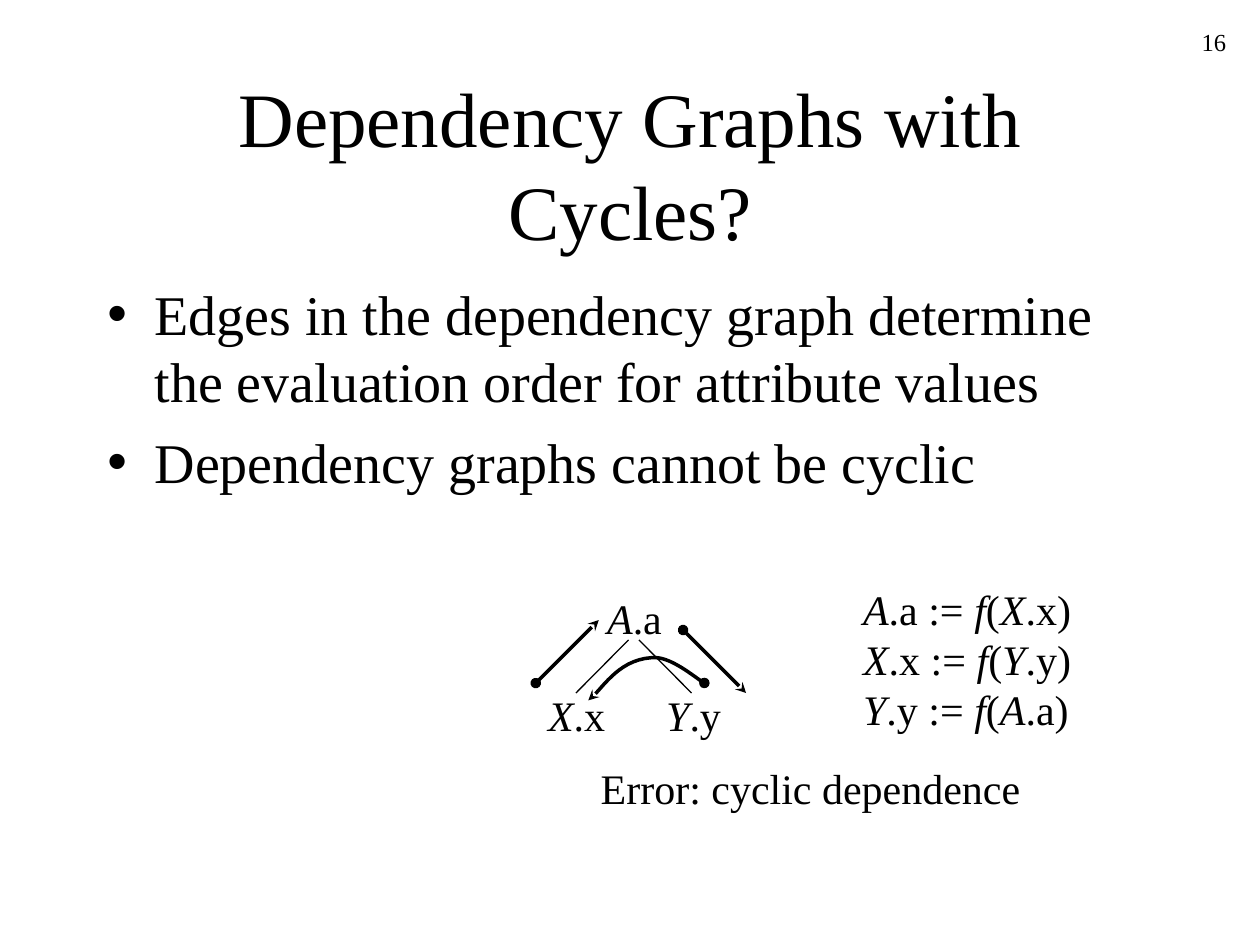
from dataclasses import dataclass

from lxml import etree
from pptx import Presentation
from pptx.dml.color import RGBColor
from pptx.enum.shapes import MSO_CONNECTOR
from pptx.enum.text import MSO_ANCHOR, MSO_AUTO_SIZE, PP_ALIGN
from pptx.oxml.ns import qn
from pptx.util import Cm, Pt

LEFT, CENTER, RIGHT = PP_ALIGN.LEFT, PP_ALIGN.CENTER, PP_ALIGN.RIGHT
TOP, MIDDLE = MSO_ANCHOR.TOP, MSO_ANCHOR.MIDDLE
STRAIGHT = MSO_CONNECTOR.STRAIGHT
NO_AUTOFIT = MSO_AUTO_SIZE.NONE


@dataclass(frozen=True)
class Theme:
    font: str = "Times New Roman"
    ink: RGBColor = RGBColor(0, 0, 0)
    title: int = 44
    body: int = 32
    label: int = 24
    number: int = 14
    thin: float = 0.75
    thick: float = 2


def write(frame, text, *, theme, size, align=LEFT, anchor=TOP, wrap=True, before=0):
    frame.auto_size = NO_AUTOFIT
    frame.word_wrap = wrap
    frame.vertical_anchor = anchor
    for index, line in enumerate(text.split("\n")):
        para = frame.add_paragraph() if index else frame.paragraphs[0]
        para.alignment = align
        para.space_before = Pt(before)
        for position, part in enumerate(line.split("*")):
            if part:
                span = para.add_run()
                span.text = part
                span.font.name = theme.font
                span.font.size = Pt(size)
                span.font.color.rgb = theme.ink
                span.font.italic = position % 2 == 1


def bezier(start, first, second, end, steps=16):
    for step in range(1, steps + 1):
        t = step / steps
        u = 1 - t
        yield tuple(u**3 * a + 3 * u * u * t * b + 3 * u * t * t * c + t**3 * d
                    for a, b, c, d in zip(start, first, second, end))


class Painter:
    def __init__(self, slide, theme):
        self.slide = slide
        self.theme = theme

    def placeholder(self, index, area, text, **format):
        box = self.slide.placeholders[index]
        box.left, box.top, box.width, box.height = map(Cm, area)
        write(box.text_frame, text, theme=self.theme, **format)

    def text(self, area, text, **format):
        box = self.slide.shapes.add_textbox(*map(Cm, area))
        write(box.text_frame, text, theme=self.theme, **format)

    def stroke(self, shape, width, arrow):
        shape.line.color.rgb = self.theme.ink
        shape.line.width = Pt(width)
        if arrow:
            outline = shape.line._get_or_add_ln()
            for tag, kind in (("a:headEnd", "oval"), ("a:tailEnd", "stealth")):
                etree.SubElement(outline, qn(tag), type=kind)

    def line(self, start, end, width, arrow=False):
        connector = self.slide.shapes.add_connector(STRAIGHT, *map(Cm, start + end))
        self.stroke(connector, width, arrow)
        etree.SubElement(connector._element.spPr, qn("a:effectLst"))

    def curve(self, start, segments, width, arrow=False):
        builder = self.slide.shapes.build_freeform(Cm(start[0]), Cm(start[1]))
        for first, second, end in segments:
            points = [(Cm(x), Cm(y)) for x, y in bezier(start, first, second, end)]
            builder.add_line_segments(points, close=False)
            start = end
        shape = builder.convert_to_shape()
        shape.fill.background()
        self.stroke(shape, width, arrow)
        shape.shadow.inherit = False


theme = Theme()
deck = Presentation()
deck.slide_width, deck.slide_height = Cm(25.4), Cm(19.05)
page = Painter(deck.slides.add_slide(deck.slide_layouts[1]), theme)

page.placeholder(0, (1.91, 1.7, 21.59, 3.18), "Dependency Graphs with Cycles?",
                 size=theme.title, align=CENTER, anchor=MIDDLE)
page.placeholder(1, (1.91, 5.5, 21.59, 11.43),
                 "Edges in the dependency graph determine the evaluation order "
                 "for attribute values\nDependency graphs cannot be cyclic",
                 size=theme.body, before=8)

rules = ("*A*.a", "*X*.x"), ("*X*.x", "*Y*.y"), ("*Y*.y", "*A*.a")
formulas = "\n".join(f"{target} := *f*({source})" for target, source in rules)
labels = (
    ((17.15, 11.63, 4.9, 3.3), formulas),
    ((11.99, 11.81, 1.6, 1.27), "*A*.a"),
    ((10.8, 13.77, 1.65, 1.27), "*X*.x"),
    ((13.18, 13.77, 1.6, 1.27), "*Y*.y"),
    ((11.86, 15.24, 8.97, 1.27), "Error: cyclic dependence"),
)
for area, text in labels:
    page.text(area, text, size=theme.label, wrap=False)

for start, end in (((12.67, 12.9), (11.61, 13.97)), ((12.88, 12.9), (13.94, 13.97))):
    page.line(start, end, theme.thin)
page.curve((14.2, 13.77),
           (((14.02, 13.67), (13.51, 13.21), (13.13, 13.26)),
            ((12.42, 13.31), (12.12, 13.94), (11.86, 14.12))),
           theme.thick, arrow=True)
for start, end in (((10.8, 13.77), (12.07, 12.5)), ((13.77, 12.7), (15.04, 13.97))):
    page.line(start, end, theme.thick, arrow=True)

page.text((19.69, 0.43, 5.28, 1.27), "16", size=theme.number, align=RIGHT)

deck.save("out.pptx")
